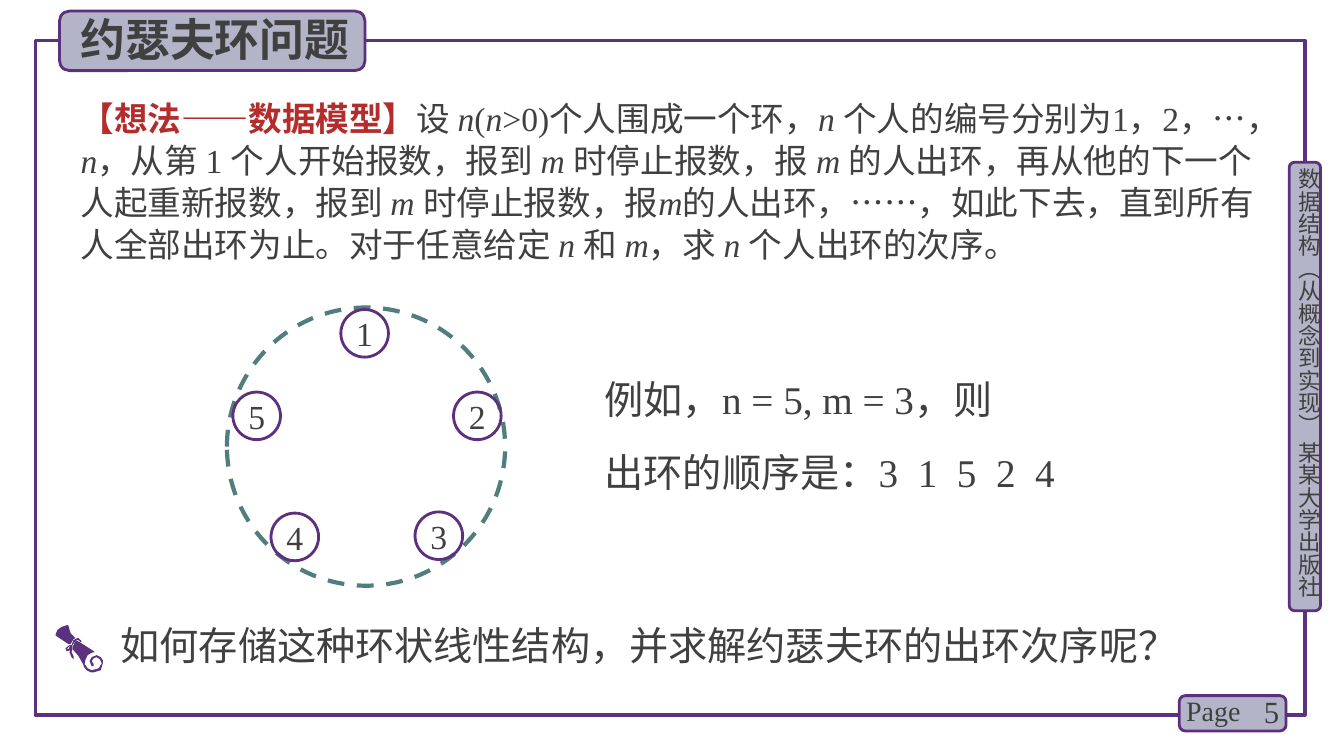
from dataclasses import dataclass

from pptx import Presentation
from pptx.dml.color import RGBColor
from pptx.enum.dml import MSO_LINE
from pptx.enum.shapes import MSO_SHAPE
from pptx.enum.text import MSO_ANCHOR, MSO_AUTO_SIZE, PP_ALIGN
from pptx.oxml.ns import qn
from pptx.util import Cm, Pt


@dataclass(frozen=True)
class Theme:
    """Colours, fonts and type sizes of the slide."""
    frame: str = "5A327D"
    edge: str = "5C307D"
    tab: str = "B4B4C8"
    ink: str = "404040"
    accent: str = "B42D2D"
    ring: str = "507D7D"
    serif: str = "Times New Roman"
    sans: str = "Noto Sans CJK SC"
    title: int = 32
    statement: int = 28
    body: int = 24
    number: int = 22
    page: int = 20
    side: int = 16


THEME = Theme()
LEADING = {"line_spacing": Pt(30)}
CENTRED = {"alignment": PP_ALIGN.CENTER}
NO_INSETS = {f"margin_{side}": 0 for side in ("left", "right", "top", "bottom")}
MIDDLE = {"vertical_anchor": MSO_ANCHOR.MIDDLE}
GROWING = {"auto_size": MSO_AUTO_SIZE.SHAPE_TO_FIT_TEXT}

HEADING = "【想法——数据模型】"
PROBLEM = (
    "设 *n*(*n*>0)个人围成一个环，*n *个人的编号分别为1，2，…，*n*，"
    "从第 1 个人开始报数，报到 *m *时停止报数，报 *m *的人出环，"
    "再从他的下一个人起重新报数，报到 *m *时停止报数，报*m*的人出环，……，"
    "如此下去，直到所有人全部出环为止。对于任意给定 *n *和 *m*，求 *n *个人出环的次序。"
)
PEOPLE = {"1": (8.59, 7.8), "2": (11.43, 9.88), "3": (10.46, 12.9),
          "5": (5.87, 9.88), "4": (6.83, 12.93)}

SCROLL_ORIGIN = {"origin_x": Cm(0), "origin_y": Cm(15.24)}
SCROLL_TOP = [[(69, 39), (70, 39), (73, 34), (75, 33), (70, 28), (68, 21), (67, 20),
               (61, 22), (57, 25), (55, 30), (56, 31), (68, 39)]]
SCROLL_BODY = [[(100, 52), (96, 50), (91, 52), (89, 56), (91, 61), (93, 61), (93, 59),
                (91, 56), (93, 53), (96, 52), (99, 54), (101, 58), (98, 63), (91, 65),
                (87, 63), (85, 60), (84, 59), (85, 54), (87, 50), (90, 48), (93, 47),
                (94, 47), (93, 46), (79, 37), (77, 36), (75, 36), (73, 40), (72, 42),
                (72, 44), (78, 51), (83, 60), (83, 61), (86, 65), (90, 67), (93, 67),
                (100, 65), (102, 58), (102, 55)]]
SCROLL_BOW = [[(73, 54), (72, 53), (71, 52), (69, 47), (70, 45), (67, 46), (66, 46),
               (65, 43), (69, 40), (71, 40), (73, 35), (77, 33), (78, 33), (81, 36),
               (80, 37), (79, 36), (78, 35), (77, 35), (75, 36), (72, 40), (72, 44),
               (71, 47), (73, 51), (73, 53)],
              [(69, 41), (67, 43), (67, 44), (68, 44), (69, 42), (70, 42)]]


def apply(target, formats):
    """Set every attribute in the dict of formats."""
    for attribute, setting in formats.items():
        setattr(target, attribute, setting)


def colour(code):
    """Turn a hex code into a colour."""
    return RGBColor.from_string(code)


def add_outline(slide, preset, box, line, width, fill=None):
    """Add a preset shape with a coloured outline and an optional fill."""
    outline = slide.shapes.add_shape(preset, *map(Cm, box))
    outline.shadow.inherit = False
    if fill:
        outline.fill.solid()
        outline.fill.fore_color.rgb = colour(fill)
    else:
        outline.fill.background()
    outline.line.color.rgb = colour(line)
    outline.line.width = Pt(width)
    return outline


def add_tab(slide, box):
    """Add a rounded label plate."""
    return add_outline(slide, MSO_SHAPE.ROUNDED_RECTANGLE, box, THEME.edge, 2, THEME.tab)


def add_run(paragraph, wording, size, face=THEME.serif, ink=THEME.ink, **formats):
    """Append a run with its Latin face and the sans face for Chinese."""
    run = paragraph.add_run()
    run.text = wording
    apply(run.font, {"size": Pt(size), "name": face, **formats})
    run.font.color.rgb = colour(ink)
    latin = run.font._element.find(qn("a:latin"))
    latin.addnext(latin.makeelement(qn("a:ea"), {"typeface": THEME.sans}))


def add_label(slide, box, frame_formats=GROWING, paragraph_formats=None):
    """Add a wrapping text box and return its frame."""
    frame = slide.shapes.add_textbox(*map(Cm, box)).text_frame
    apply(frame, {"word_wrap": True, **frame_formats})
    apply(frame.paragraphs[0], paragraph_formats or {})
    return frame


def add_statement(slide, box, wording):
    """Add a one-line statement."""
    frame = add_label(slide, box, paragraph_formats=LEADING)
    add_run(frame.paragraphs[0], wording, THEME.statement)


def add_problem(slide):
    """Add the problem text, with variables in italics."""
    paragraph = add_label(slide, (1.78, 2.29, 30.28, 4.52),
                          paragraph_formats=LEADING).paragraphs[0]
    add_run(paragraph, HEADING, THEME.body, ink=THEME.accent, bold=True)
    for index, wording in enumerate(PROBLEM.split("*")):
        add_run(paragraph, wording, THEME.body, italic=index % 2 == 1)


def add_person(slide, number, left, top):
    """Add a numbered person of the ring."""
    person = add_outline(slide, MSO_SHAPE.OVAL, (left, top, 1.2, 1.2), THEME.edge, 2)
    apply(person.text_frame, {**NO_INSETS, **MIDDLE})
    paragraph = person.text_frame.paragraphs[0]
    apply(paragraph, CENTRED)
    add_run(paragraph, number, THEME.body)


def add_scroll_part(slide, contours):
    """Add a filled part of the scroll, drawn in hundredths of an inch."""
    builder = slide.shapes.build_freeform(*contours[0][0], scale=Cm(0.0254))
    for index, contour in enumerate(contours):
        if index:
            builder.move_to(*contour[0])
        builder.add_line_segments(contour[1:], close=True)
    part = builder.convert_to_shape(**SCROLL_ORIGIN)
    part.shadow.inherit = False
    part.fill.solid()
    part.fill.fore_color.rgb = colour(THEME.frame)
    part.line.fill.background()


def add_page_furniture(slide):
    """Add the frame, the book label and the page number."""
    add_outline(slide, MSO_SHAPE.RECTANGLE, (0.89, 1.02, 32, 17), THEME.frame, 2.25)
    add_tab(slide, (32.49, 4.09, 0.79, 11.3))
    book = add_label(slide, (32.64, 4.24, 0.69, 11.4), {**GROWING, **NO_INSETS})
    book._txBody.bodyPr.set("vert", "eaVert")
    add_run(book.paragraphs[0], "数据结构（从概念到实现） 某某大学出版社", THEME.side, THEME.sans)
    add_tab(slide, (29.72, 17.53, 2.69, 0.89))
    number = add_label(slide, (30.99, 17.42, 1.5, 1.02), MIDDLE,
                       {"alignment": PP_ALIGN.RIGHT})
    add_run(number.paragraphs[0], "5", THEME.number)
    page = add_label(slide, (29.64, 17.35, 1.98, 1.12))
    add_run(page.paragraphs[0], "Page", THEME.page)


def add_title(slide):
    """Add the title on its plate."""
    add_tab(slide, (1.5, 0.28, 7.7, 1.5))
    title = add_label(slide, (1.78, 0.18, 7.49, 1.63))
    add_run(title.paragraphs[0], "约瑟夫环问题", THEME.title, THEME.sans, bold=True)


def main():
    """Build the slide and save it."""
    deck = Presentation()
    apply(deck, {"slide_width": Cm(33.87), "slide_height": Cm(19.05)})
    slide = deck.slides.add_slide(deck.slide_layouts[6])
    add_page_furniture(slide)
    add_title(slide)
    add_problem(slide)
    add_statement(slide, (2.79, 15.67, 27.33, 1.32),
                  "如何存储这种环状线性结构，并求解约瑟夫环的出环次序呢？")
    for contours in (SCROLL_TOP, SCROLL_BODY, SCROLL_BOW):
        add_scroll_part(slide, contours)
    ring = add_outline(slide, MSO_SHAPE.OVAL, (5.72, 7.75, 7.01, 7.01), THEME.ring, 3)
    ring.line.dash_style = MSO_LINE.DASH
    for number, (left, top) in PEOPLE.items():
        add_person(slide, number, left, top)
    add_statement(slide, (14.99, 11.3, 12.7, 1.32), "出环的顺序是：3  1  5  2  4")
    add_statement(slide, (14.99, 9.45, 12.7, 1.32), "例如，n = 5, m = 3，则")
    deck.save("out.pptx")


if __name__ == "__main__":
    main()
